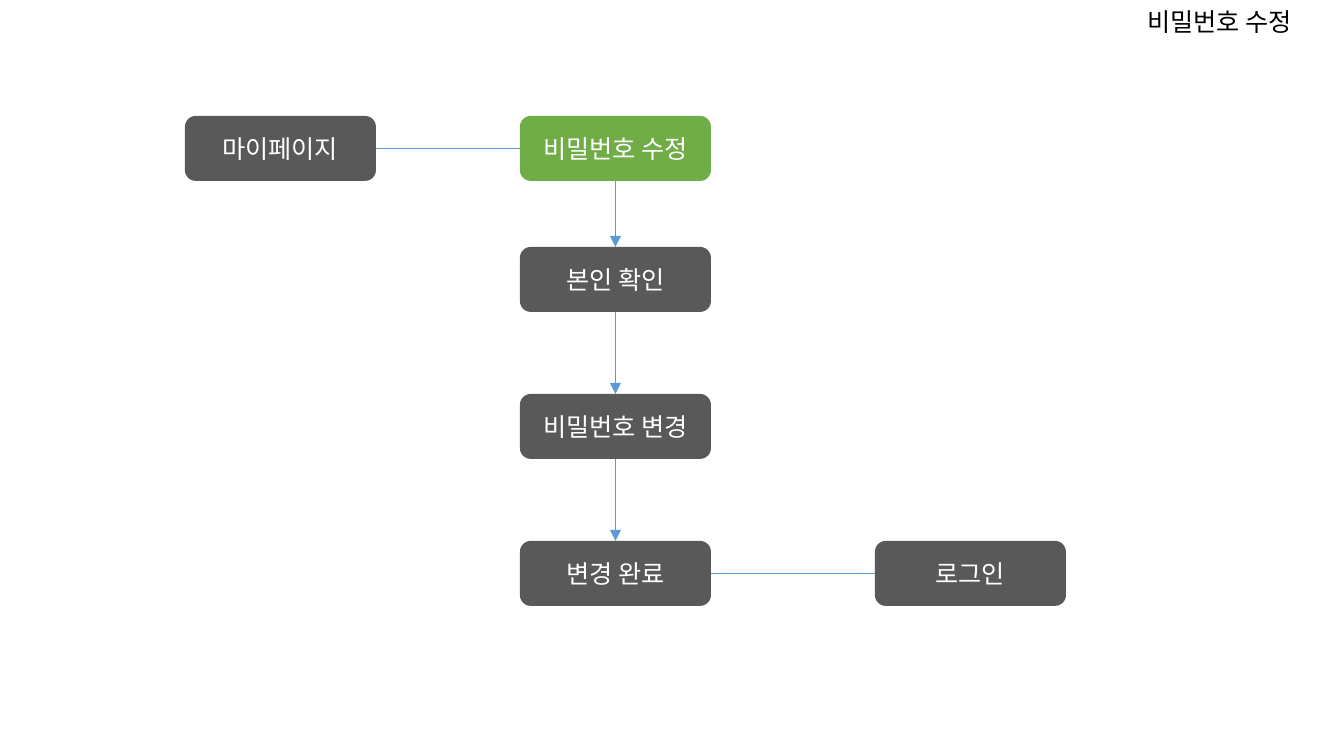
"""Draw the flow of steps for changing a password."""
import dataclasses
import itertools

import lxml.etree
import pptx
import pptx.dml.color
import pptx.enum.shapes
import pptx.enum.text
import pptx.oxml.ns
import pptx.util

SCALE = 9144000 / 1344
WIDE, HIGH = 191, 65
FACE = "Noto Sans CJK KR"
GREY, GREEN, BLUE, WHITE, BLACK = "595959", "70AD47", "5B9BD5", "FFFFFF", "000000"
FONT = {"name": FACE, "size": pptx.util.Pt(13.5)}
FRAME = {
    "word_wrap": True,
    "vertical_anchor": pptx.enum.text.MSO_ANCHOR.MIDDLE,
    "margin_left": pptx.util.Inches(0.07),
    "margin_right": pptx.util.Inches(0.07),
    "margin_top": pptx.util.Inches(0.04),
    "margin_bottom": pptx.util.Inches(0.04),
}
TITLE = {"word_wrap": True, "auto_size": pptx.enum.text.MSO_AUTO_SIZE.SHAPE_TO_FIT_TEXT}


@dataclasses.dataclass
class Step:
    text: str
    left: int
    top: int
    fill: str = GREY


def px(count: int) -> int:
    return round(count * SCALE)


def tint(code: str) -> pptx.dml.color.RGBColor:
    return pptx.dml.color.RGBColor.from_string(code)


def style(thing, values: dict) -> None:
    for name, value in values.items():
        setattr(thing, name, value)


def add(owner, tag: str, **values: str) -> None:
    node = lxml.etree.SubElement(owner, pptx.oxml.ns.qn(tag))
    for name, value in values.items():
        node.set(name, value)


def write(frame, text: str, color: str, form: dict):
    style(frame, form)
    para = frame.paragraphs[0]
    run = para.add_run()
    run.text = text
    run.font.color.rgb = tint(color)
    style(run.font, FONT)
    add(run.font._element, "a:ea", typeface=FACE)
    return para


def draw_step(shapes, step: Step):
    kind = pptx.enum.shapes.MSO_SHAPE.ROUNDED_RECTANGLE
    box = shapes.add_shape(kind, *map(px, (step.left, step.top, WIDE, HIGH)))
    box.shadow.inherit = False
    box.fill.solid()
    box.fill.fore_color.rgb = tint(step.fill)
    box.line.fill.background()
    para = write(box.text_frame, step.text, WHITE, FRAME)
    para.alignment = pptx.enum.text.PP_ALIGN.CENTER
    return box


def link(shapes, start, start_site: int, end, end_site: int, arrow: bool = False) -> None:
    kind = pptx.enum.shapes.MSO_CONNECTOR.STRAIGHT
    line = shapes.add_connector(kind, 0, 0, 0, 0)
    line.begin_connect(start, start_site)
    line.end_connect(end, end_site)
    line.line.color.rgb = tint(BLUE)
    line.line.width = pptx.util.Pt(0.5)
    if arrow:
        add(line.line._get_or_add_ln(), "a:tailEnd", type="triangle")
    add(line._element.spPr, "a:effectLst")


def main() -> None:
    deck = pptx.Presentation()
    style(deck, {"slide_width": px(1344), "slide_height": px(756)})
    shapes = deck.slides.add_slide(deck.slide_layouts[6]).shapes
    steps = [
        Step("마이페이지", 185, 116),
        Step("비밀번호 수정", 520, 116, GREEN),
        Step("본인 확인", 520, 247),
        Step("비밀번호 변경", 520, 394),
        Step("변경 완료", 520, 541),
        Step("로그인", 875, 541),
    ]
    first, *chain, last = [draw_step(shapes, step) for step in steps]
    top, left, bottom, right = range(4)
    for upper, lower in itertools.pairwise(chain):
        link(shapes, upper, bottom, lower, top, arrow=True)
    link(shapes, chain[0], left, first, right)
    link(shapes, chain[-1], right, last, left)
    title = shapes.add_textbox(*map(px, (1134, 0, 190, 44)))
    write(title.text_frame, "비밀번호 수정", BLACK, TITLE)
    deck.save("out.pptx")


if __name__ == "__main__":
    main()
